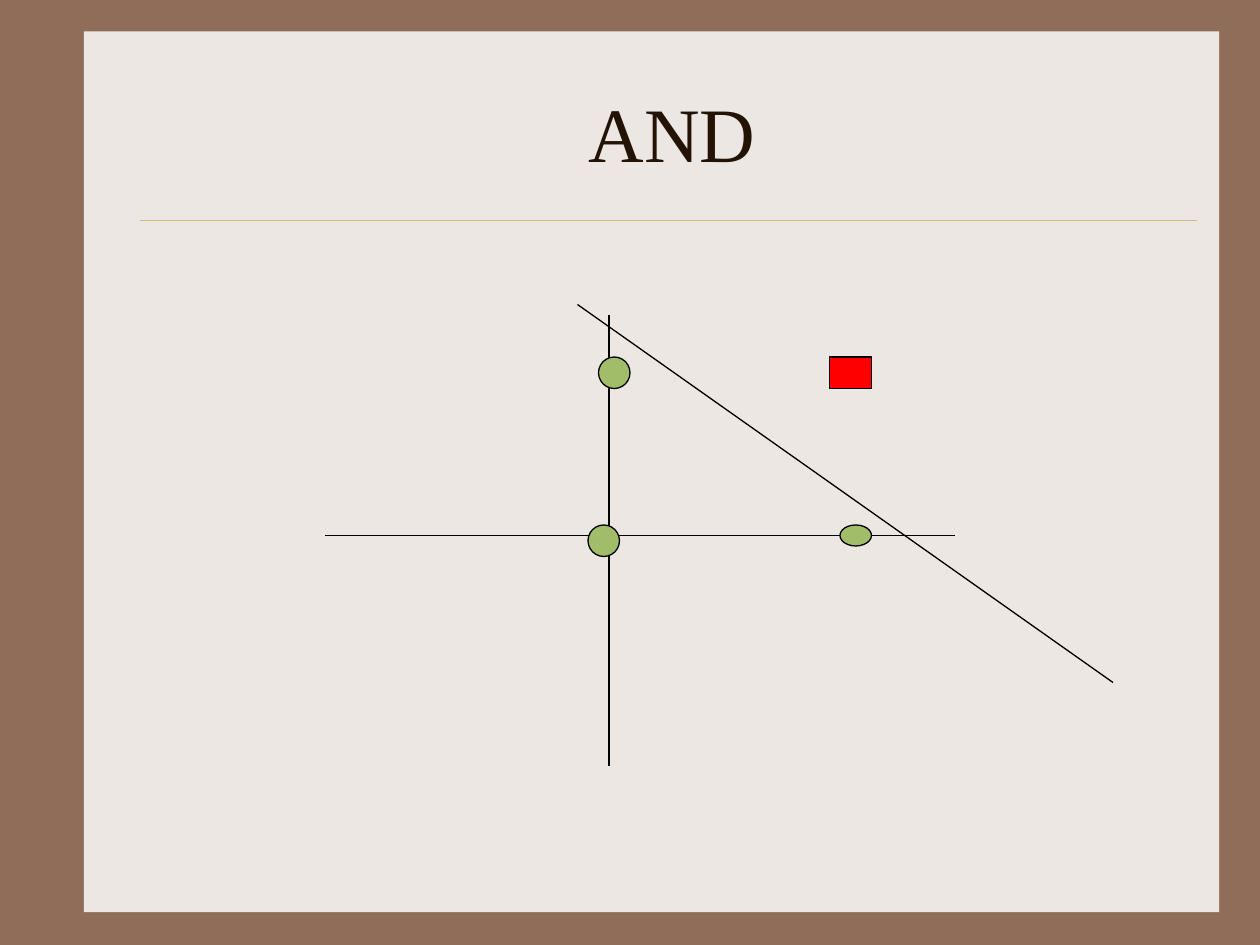
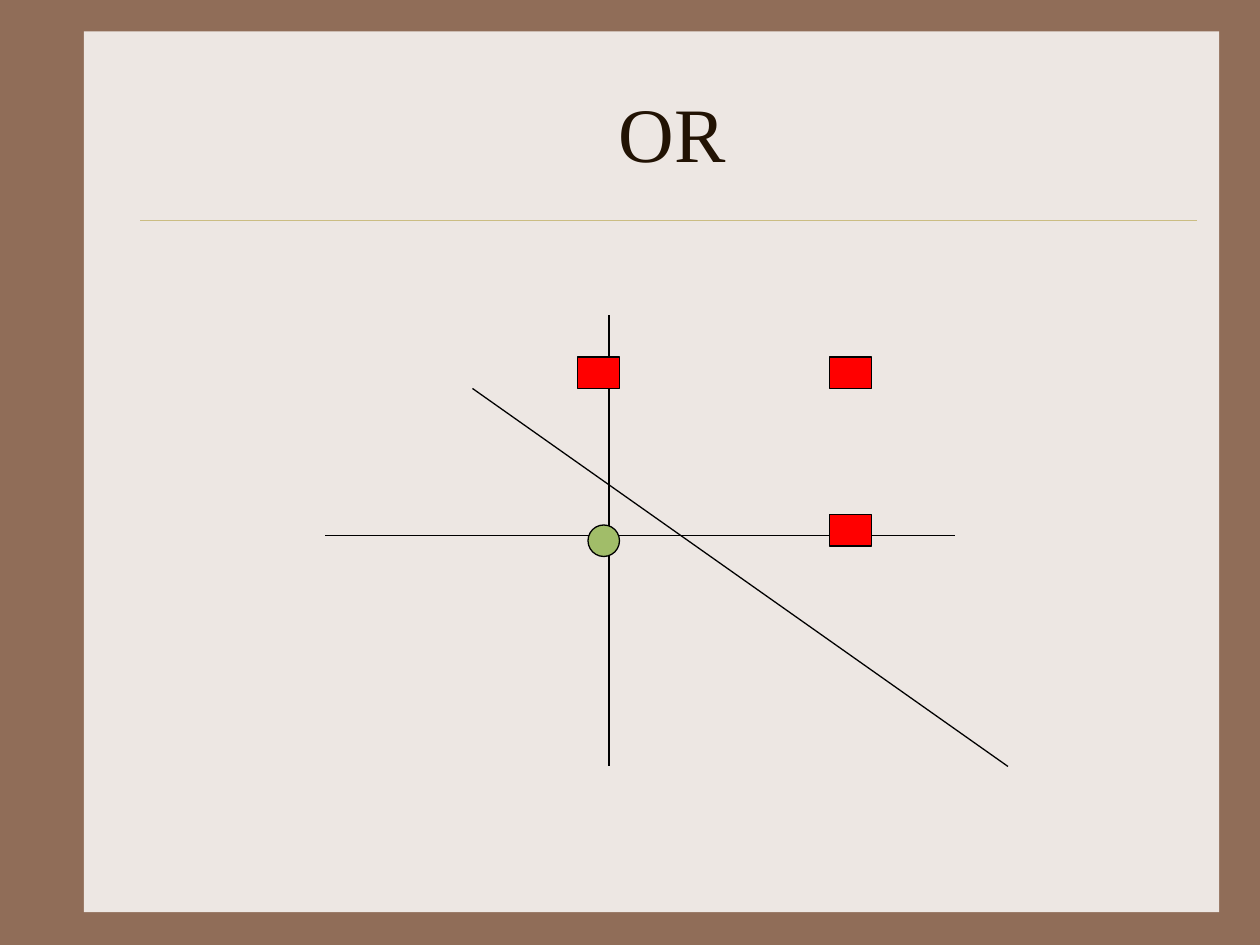
from dataclasses import dataclass

import pptx
import pptx.dml.color
import pptx.enum.shapes
import pptx.enum.text
import pptx.oxml
import pptx.oxml.ns
import pptx.util
from pptx.presentation import Presentation
from pptx.shapes.autoshape import Shape
from pptx.slide import Slide

EMU_PER_PX = 9525  # 96 px to the inch
TITLE_ONLY = 5

FRAME = "906D58"
PAPER = "EDE7E3"
RULE = "CBBD83"
TITLE_INK = "221304"
BLACK = "000000"
GREEN = "A1BD69"
RED = "FF0000"

OVAL = pptx.enum.shapes.MSO_SHAPE.OVAL
RECTANGLE = pptx.enum.shapes.MSO_SHAPE.RECTANGLE


@dataclass(frozen=True)
class Box:
    left: int
    top: int
    width: int
    height: int


@dataclass(frozen=True)
class Line:
    x1: int
    y1: int
    x2: int
    y2: int
    color: str = BLACK
    points: float = 0.75


@dataclass(frozen=True)
class Gate:
    """A logic function: its false and true points, and the line between them."""
    name: str
    false_points: tuple[Box, ...]
    true_points: tuple[Box, ...]
    boundary: Line


PANEL = Box(64, 24, 865, 671)
TITLE = Box(112, 40, 800, 120)
TITLE_RULE = Line(107, 168, 912, 168, RULE, 0.25)
AXES = (Line(464, 240, 464, 584), Line(248, 408, 728, 408))


def circle(left: int, top: int) -> Box:
    return Box(left, top, 24, 24)


def block(left: int, top: int) -> Box:
    return Box(left, top, 32, 24)


def boundary_from(x: int, y: int) -> Line:
    return Line(x, y, x + 408, y + 288)


ORIGIN = circle(448, 400)
BOTH_TRUE = block(632, 272)

GATES = (
    Gate("AND", (ORIGIN, Box(640, 400, 24, 16), circle(456, 272)),
         (BOTH_TRUE,), boundary_from(440, 232)),
    Gate("OR", (ORIGIN,),
         (BOTH_TRUE, block(440, 272), block(632, 392)), boundary_from(360, 296)),
)


def px(length: int) -> pptx.util.Emu:
    return pptx.util.Emu(length * EMU_PER_PX)


def rgb(color: str) -> pptx.dml.color.RGBColor:
    return pptx.dml.color.RGBColor.from_string(color)


def add_box(page: Slide, kind: pptx.enum.shapes.MSO_SHAPE, box: Box,
            fill: str, outlined: bool = True) -> Shape:
    shape = page.shapes.add_shape(
        kind, px(box.left), px(box.top), px(box.width), px(box.height))
    shape.shadow.inherit = False
    shape.fill.solid()
    shape.fill.fore_color.rgb = rgb(fill)
    if outlined:
        shape.line.color.rgb = rgb(BLACK)
        shape.line.width = pptx.util.Pt(0.75)
    else:
        shape.line.fill.background()
    return shape


def add_line(page: Slide, line: Line) -> None:
    connector = page.shapes.add_connector(
        pptx.enum.shapes.MSO_CONNECTOR.STRAIGHT,
        px(line.x1), px(line.y1), px(line.x2), px(line.y2))
    connector.line.color.rgb = rgb(line.color)
    connector.line.width = pptx.util.Pt(line.points)
    properties = connector.element.find(pptx.oxml.ns.qn("p:spPr"))
    properties.append(pptx.oxml.parse_xml(
        f'<a:effectLst {pptx.oxml.ns.nsdecls("a")}/>'))


def set_title(page: Slide, text: str) -> None:
    title = page.shapes.title
    title.left, title.top = px(TITLE.left), px(TITLE.top)
    title.width, title.height = px(TITLE.width), px(TITLE.height)
    title.text_frame.text = text
    title.text_frame.vertical_anchor = pptx.enum.text.MSO_ANCHOR.MIDDLE
    para = title.text_frame.paragraphs[0]
    para.alignment = pptx.enum.text.PP_ALIGN.CENTER
    para.font.name = "Times New Roman"
    para.font.size = pptx.util.Pt(44)
    para.font.color.rgb = rgb(TITLE_INK)


def add_page(deck: Presentation, title: str) -> Slide:
    """Add a slide with the shared panel, title and rule."""
    page = deck.slides.add_slide(deck.slide_layouts[TITLE_ONLY])
    set_title(page, title)
    panel = add_box(page, RECTANGLE, PANEL, PAPER, outlined=False)
    page.shapes.title.element.addprevious(panel.element)
    add_line(page, TITLE_RULE)
    return page


def add_gate(deck: Presentation, gate: Gate) -> None:
    page = add_page(deck, gate.name)
    for axis in AXES:
        add_line(page, axis)
    for box in gate.false_points:
        add_box(page, OVAL, box, GREEN)
    for box in gate.true_points:
        add_box(page, RECTANGLE, box, RED)
    add_line(page, gate.boundary)


def main() -> None:
    deck = pptx.Presentation()
    deck.slide_width, deck.slide_height = px(960), px(720)
    background = deck.slide_master.background.fill
    background.solid()
    background.fore_color.rgb = rgb(FRAME)
    for gate in GATES:
        add_gate(deck, gate)
    deck.save("out.pptx")


if __name__ == "__main__":
    main()
